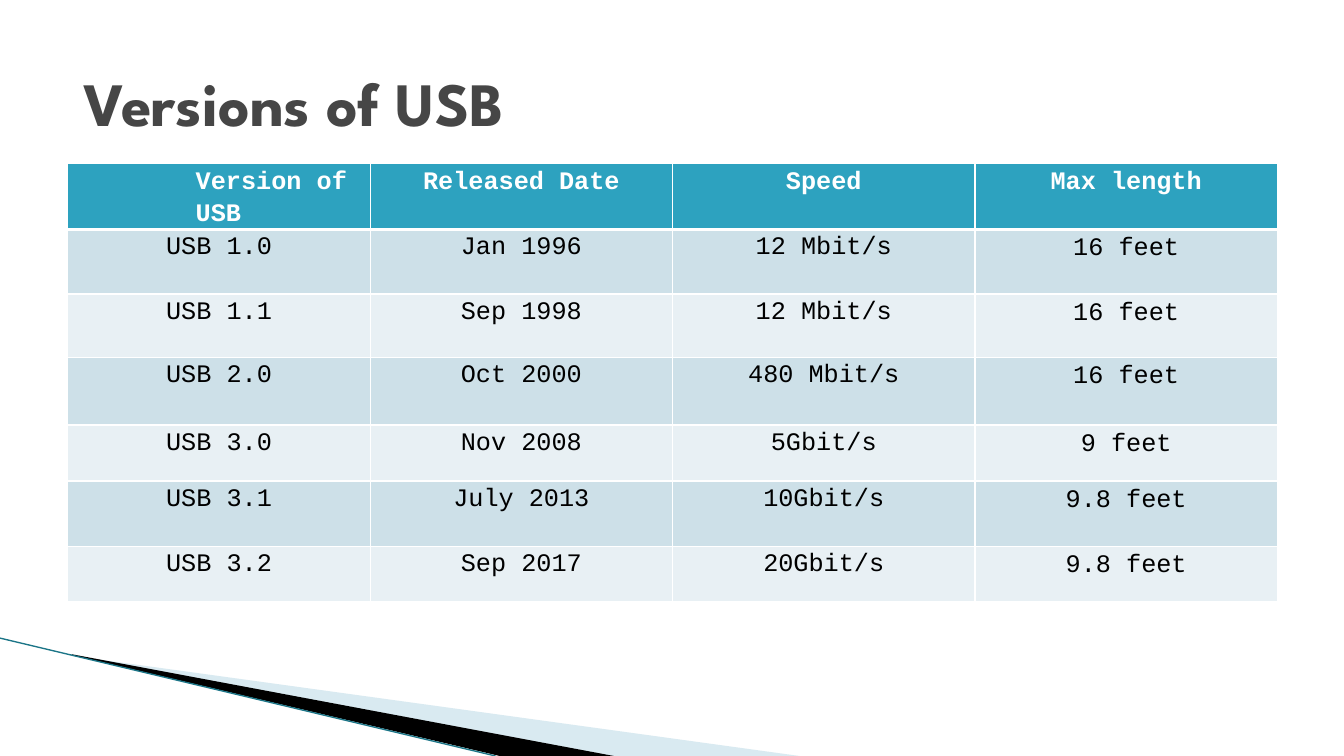
from dataclasses import dataclass

from lxml.etree import SubElement
from pptx import Presentation
from pptx.dml.color import RGBColor
from pptx.enum.text import MSO_ANCHOR, PP_ALIGN
from pptx.oxml import parse_xml
from pptx.oxml.ns import nsdecls, qn
from pptx.util import Pt

# Content
TITLE = "Versions of USB"
HEADER = ["Version of USB", "Released Date", "Speed", "Max length"]
VERSIONS = [
    ("USB 1.0", "Jan 1996", "12 Mbit/s", "16 feet"),
    ("USB 1.1", "Sep 1998", "12 Mbit/s", "16 feet"),
    ("USB 2.0", "Oct 2000", "480 Mbit/s", "16 feet"),
    ("USB 3.0", "Nov 2008", "5Gbit/s", "9 feet"),
    ("USB 3.1", "July 2013", "10Gbit/s", "9.8 feet"),
    ("USB 3.2", "Sep 2017", "20Gbit/s", "9.8 feet"),
]

# Geometry, in points
SLIDE = (960, 540)
TITLE_BOX = (52.6, 38, 741, 70)
TABLE_AT = (48.4, 117)
COLUMN_WIDTH = 216
ROW_HEIGHTS = [47, 46, 45.4, 48.2, 40, 46.8, 39.6]
HEADER_INDENT = 91.4
PALE_WEDGE = [(52.6, 468.6), (571, 540), (437.8, 540), (52.6, 468)]
DARK_WEDGE = [(51.1, 467.3), (438.5, 540), (357, 540), (51.8, 468)]
EDGE = (0, 455.8, 354, 540)


@dataclass(frozen=True)
class Theme:
    title_font: str = "League Spartan"
    table_font: str = "Courier New"
    title_size: float = 44
    table_size: float = 18
    title: str = "464646"
    header_text: str = "FFFFFF"
    body_text: str = "000000"
    header_fill: str = "2DA2BF"
    bands: tuple = ("CDE0E8", "E8F0F4")
    border: str = "FFFFFF"
    pale: str = "A0CBDC"
    dark: str = "000000"
    edge: str = "1B7587"


THEME = Theme()


def rgb(value):
    return RGBColor.from_string(value)


def write(frame, text, *, font, size, color, bold=False,
          align=PP_ALIGN.CENTER, spacing=1.0):
    paragraph = frame.paragraphs[0]
    paragraph.alignment = align
    paragraph.line_spacing = spacing
    run = paragraph.add_run()
    run.text = text
    run.font.name = font
    run.font.size = Pt(size)
    run.font.bold = bold
    run.font.color.rgb = rgb(color)


def set_borders(cell, **widths):
    properties = cell._tc.get_or_add_tcPr()
    for position, side in enumerate("LRTB"):
        width = Pt(widths.get(side, 1))
        properties.insert(position, parse_xml(
            f'<a:ln{side} {nsdecls("a")} w="{width}"><a:solidFill>'
            f'<a:srgbClr val="{THEME.border}"/></a:solidFill></a:ln{side}>'))


def add_wedge(slide, points, color, opacity=100):
    corners = [(Pt(x), Pt(y)) for x, y in points]
    builder = slide.shapes.build_freeform(*corners[0], scale=1.0)
    builder.add_line_segments(corners[1:], close=True)
    wedge = builder.convert_to_shape()
    wedge.shadow.inherit = False
    wedge.line.fill.background()
    wedge.fill.solid()
    wedge.fill.fore_color.rgb = rgb(color)
    if opacity < 100:
        fill_color = wedge._element.spPr.find(f"{qn('a:solidFill')}/{qn('a:srgbClr')}")
        SubElement(fill_color, qn("a:alpha")).set("val", str(opacity * 1000))


def add_decoration(slide):
    add_wedge(slide, PALE_WEDGE, THEME.pale, opacity=40)
    add_wedge(slide, DARK_WEDGE, THEME.dark)
    edge = slide.shapes.add_connector(1, *map(Pt, EDGE))
    edge.line.color.rgb = rgb(THEME.edge)
    edge.line.width = Pt(0.95)
    SubElement(edge._element.spPr, qn("a:effectLst"))


def add_versions_table(slide):
    rows = [HEADER, *VERSIONS]
    versions = slide.shapes.add_table(
        len(rows), len(HEADER), *map(Pt, TABLE_AT),
        Pt(COLUMN_WIDTH * len(HEADER)), Pt(sum(ROW_HEIGHTS))).table
    for column in versions.columns:
        column.width = Pt(COLUMN_WIDTH)

    for r, (values, height) in enumerate(zip(rows, ROW_HEIGHTS)):
        versions.rows[r].height = Pt(height)
        is_header = r == 0
        for c, value in enumerate(values):
            cell = versions.cell(r, c)
            is_last = c == len(HEADER) - 1
            is_indented = is_header and c == 0
            side, top = (8.64, 3.6) if is_last else (6.48, 0)
            cell.margin_left = Pt(HEADER_INDENT if is_indented else side)
            cell.margin_right = Pt(side)
            cell.margin_top = cell.margin_bottom = Pt(top)
            cell.vertical_anchor = MSO_ANCHOR.TOP
            cell.fill.solid()
            cell.fill.fore_color.rgb = rgb(
                THEME.header_fill if is_header else THEME.bands[(r - 1) % 2])
            set_borders(cell, B=3 if is_header else 1, T=3 if r == 1 else 1)
            write(cell.text_frame, value, font=THEME.table_font,
                  size=THEME.table_size, bold=is_header,
                  color=THEME.header_text if is_header else THEME.body_text,
                  align=PP_ALIGN.LEFT if is_indented else PP_ALIGN.CENTER,
                  spacing=1.0 if is_last else 1.15)


def main():
    deck = Presentation()
    deck.slide_width, deck.slide_height = map(Pt, SLIDE)
    slide = deck.slides.add_slide(deck.slide_layouts[5])

    # Title
    title = slide.shapes.title
    title.left, title.top, title.width, title.height = map(Pt, TITLE_BOX)
    title.text_frame.vertical_anchor = MSO_ANCHOR.MIDDLE
    write(title.text_frame, TITLE, font=THEME.title_font, size=THEME.title_size,
          color=THEME.title, bold=True, align=PP_ALIGN.LEFT)

    # Corner wedges and table
    add_decoration(slide)
    add_versions_table(slide)
    deck.save("out.pptx")


if __name__ == "__main__":
    main()
